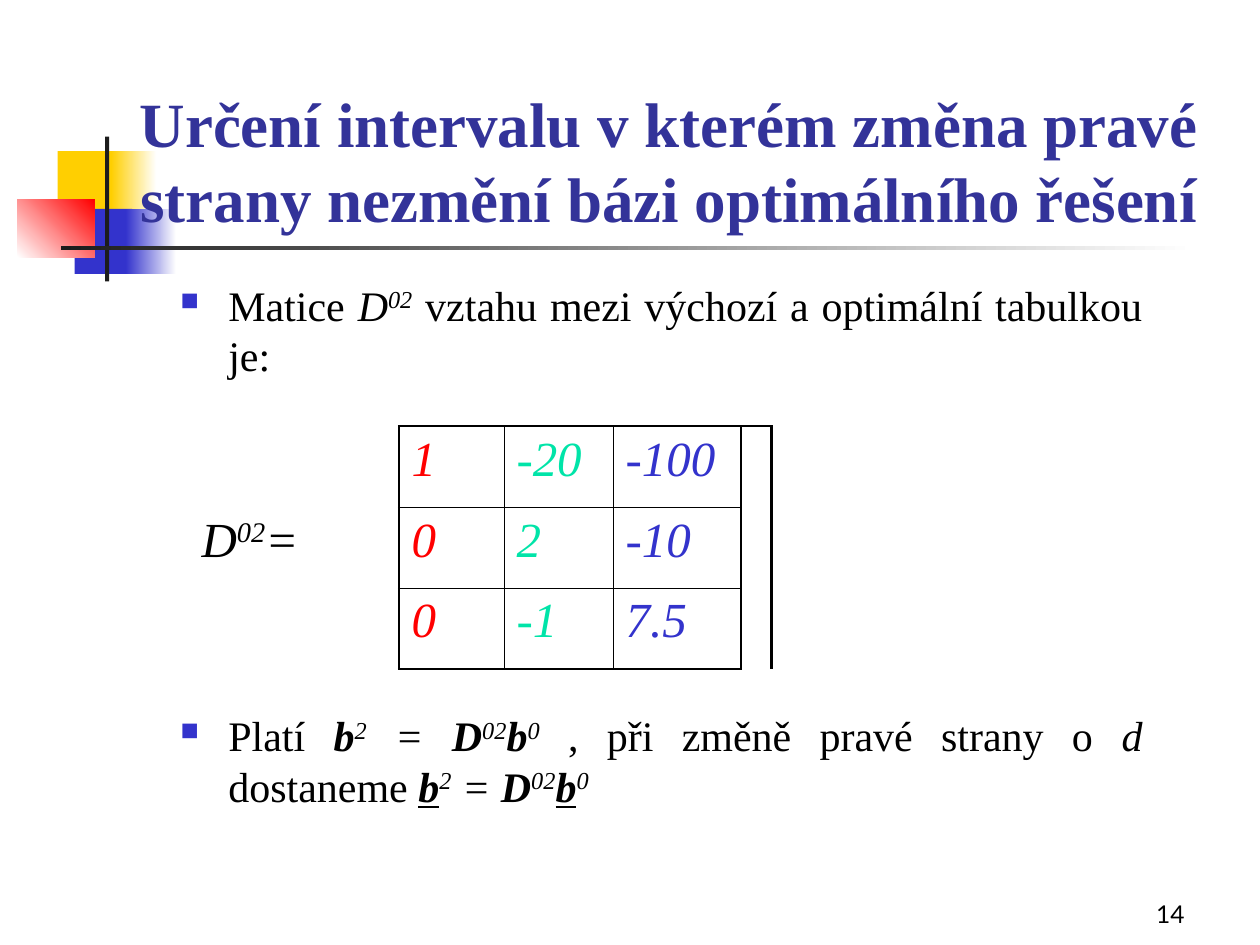
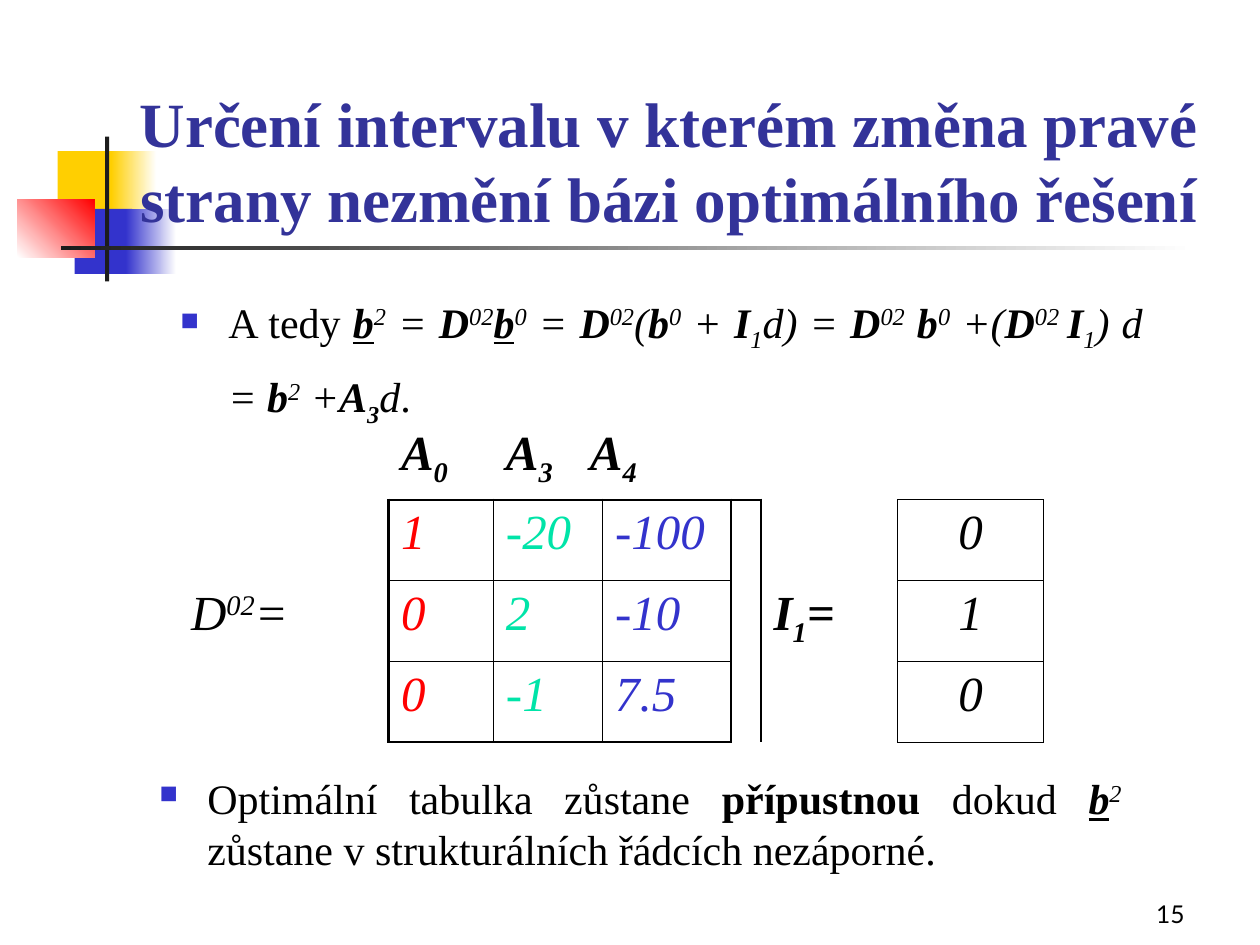
"""Build two slides on right-hand-side intervals of a linear programme."""
from lxml.etree import SubElement
from pptx import Presentation
from pptx.dml.color import RGBColor
from pptx.enum.shapes import MSO_SHAPE as Shape
from pptx.enum.text import MSO_ANCHOR as Anchor, PP_ALIGN as Align
from pptx.oxml.ns import qn
from pptx.util import Inches, Pt

YELLOW = RGBColor(0xFF, 0xCF, 0x01)
BLUE = RGBColor(0x33, 0x33, 0xCC)
NAVY = RGBColor(0x33, 0x33, 0x99)
RED = RGBColor(0xFF, 0x00, 0x00)
GREEN = RGBColor(0x00, 0xE4, 0xA8)
DARK = RGBColor(0x1C, 0x1C, 0x1C)
BLACK = RGBColor(0x00, 0x00, 0x00)
WHITE = RGBColor(0xFF, 0xFF, 0xFF)

SERIF = "Times New Roman"
TITLE = "Určení intervalu v kterém změna pravé strany nezmění bázi optimálního řešení"
NO_GRID_STYLE = "{2D5ABB26-0587-4C30-8999-92F81FD0307C}"
THICK, THIN = Pt(1.47), Pt(0.45)

deck = Presentation()
deck.slide_width, deck.slide_height = Inches(10), Inches(7.5)
GRID_COLUMNS = 120
UNIT = deck.slide_width / GRID_COLUMNS


def grid(*lengths):
    """Turn grid steps into slide lengths."""
    return [round(length * UNIT) for length in lengths]


def write(frame, spans, size=24, color=BLACK, font=SERIF, align=Align.LEFT,
          bullet=False, line_spacing=None):
    """Write (text, marks) spans; marks are b, i, u, ^ (raised) and _ (lowered)."""
    para = frame.paragraphs[0]
    para.alignment = align
    if line_spacing:
        para.line_spacing = line_spacing
    if bullet:
        properties = para._p.get_or_add_pPr()
        indent = Inches(0.38)
        properties.set("marL", str(indent))
        properties.set("indent", str(-indent))
        holder = SubElement(properties, qn("a:buClr"))
        SubElement(holder, qn("a:srgbClr"), val=str(BLUE))
        SubElement(properties, qn("a:buSzPct"), val="60000")
        SubElement(properties, qn("a:buChar"), char="■")
    for text, marks in spans:
        span = para.add_run()
        span.text = text
        span.font.name, span.font.size = font, Pt(size)
        span.font.color.rgb = color
        span.font.bold, span.font.italic = "b" in marks, "i" in marks
        span.font.underline = "u" in marks
        if "^" in marks or "_" in marks:
            baseline = "30000" if "^" in marks else "-25000"
            span._r.get_or_add_rPr().set("baseline", baseline)


DECORATIONS = [
    ((5.5, 14.4, 5.8, 6.2), [YELLOW], 0),
    ((10.6, 14.4, 4.3, 6.2), [YELLOW, WHITE], 0),
    ((7.1, 19.9, 5.5, 6.2), [BLUE], 0),
    ((12, 19.9, 4.8, 6.2), [BLUE, WHITE], 0),
    ((1.65, 19, 7.35, 5.5), [WHITE, RED], 45),
    ((10, 13, 0.4, 13.8), [DARK], 0),
    ((5.8, 23.4, 108, 0.4), [DARK, WHITE], 0),
]

EQUALS = [(" = ", "i")]
D02 = [("D", "bi"), ("02", "i^")]
B0 = [("b", "bi"), ("0", "i^")]
B2 = [("b", "bi"), ("2", "i^")]
NEW_B0 = [("b", "biu"), ("0", "i^")]
NEW_B2 = [("b", "biu"), ("2", "i^")]
I1 = [("I", "bi"), ("1", "i_")]

matrix_intro = [("Matice ", ""), ("D", "i"), ("02", "i^"),
                (" vztahu mezi výchozí a optimální tabulkou je:", "")]
changed_side = [("Platí ", ""), *B2, *EQUALS, *D02, *B0,
                (" , při změně pravé strany o ", ""), ("d", "i"),
                (" dostaneme ", ""), *NEW_B2, *EQUALS, *D02, *NEW_B0]
derivation = [("A tedy ", ""), *NEW_B2, *EQUALS, *D02, *NEW_B0, *EQUALS, *D02,
              ("(", "i"), *B0, (" + ", "i"), *I1, ("d) = ", "i"), *D02,
              (" ", "bi"), *B0, (" +(", "i"), ("D", "bi"), ("02 ", "i^"), *I1,
              (") d = ", "i"), *B2, (" +", "i"), ("A", "bi"), ("3", "bi_"),
              ("d", "i"), (".", "")]
feasibility = [("Optimální tabulka zůstane ", ""), ("přípustnou", "b"),
               (" dokud ", ""), ("b", "biu"), ("2 ", "i^"),
               ("zůstane v strukturálních řádcích nezáporné.", "")]

COLUMN_STEPS = [13, 7, 10, 8, 2.4, 5.6, 6.6, 2.9, 13, 13.9]
ROW_STEPS = [7.6, 7.7, 7.7, 7.7]
MERGES = [(0, 4), (0, 6)] + [(row, column) for row in (1, 2, 3) for column in (3, 5)]
MATRIX = [["1", "-20", "-100"], ["0", "2", "-10"], ["0", "-1", "7.5"]]
MATRIX_COLUMNS = [(2, RED), (3, GREEN), (5, BLUE)]
VERTICALS = {2: THICK, 3: THIN, 5: THIN, 7: THICK}
HORIZONTALS = {1: THICK, 2: THIN, 3: THIN, 4: THICK}

matrix_cells = {(2, 0): ([("D", "i"), ("02", "i^"), ("=", "i")], BLACK, Align.LEFT)}
for row, values in enumerate(MATRIX, start=1):
    for value, (column, color) in zip(values, MATRIX_COLUMNS):
        matrix_cells[row, column] = ([(value, "i")], color, Align.LEFT)

vector_cells = {(2, 8): ([("I", "bi"), ("1", "bi_"), ("=", "bi")], BLACK, Align.LEFT)}
for column, index in zip((2, 3, 4), "034"):
    vector_cells[0, column] = ([("A", "bi"), (index, "bi_")], BLACK, Align.LEFT)
for row, value in enumerate("010", start=1):
    vector_cells[row, 9] = ([(value, "i")], BLACK, Align.CENTER)

SLIDES = [
    ("14", matrix_intro, (16, 26, 94, 13), None, (18, 33),
     matrix_cells, False, changed_side, (16, 67, 94, 13)),
    ("15", derivation, (16, 26, 94, 16), 1.3, (17, 40),
     matrix_cells | vector_cells, True, feasibility, (14, 73, 94, 12)),
]

for (number, lead, lead_place, lead_spacing, table_corner,
     cells, has_vector, closing, closing_place) in SLIDES:
    page = deck.slides.add_slide(deck.slide_layouts[6])

    for place, colors, angle in DECORATIONS:
        block = page.shapes.add_shape(Shape.RECTANGLE, *grid(*place))
        block.shadow.inherit = False
        block.line.fill.background()
        if len(colors) == 1:
            block.fill.solid()
            block.fill.fore_color.rgb = colors[0]
        else:
            block.fill.gradient()
            block.fill.gradient_angle = angle
            for stop, color in zip(block.fill.gradient_stops, colors):
                stop.color.rgb = color

    bulleted = dict(align=Align.JUSTIFY, bullet=True)
    texts = [
        ((89, 83, 25, 6), Anchor.BOTTOM, [(number, "")],
         dict(size=14, font="Lato", align=Align.RIGHT)),
        ((10, 8, 107.4, 15), Anchor.BOTTOM, [(TITLE, "b")],
         dict(size=36, color=NAVY, align=Align.CENTER)),
        (lead_place, Anchor.TOP, lead, dict(line_spacing=lead_spacing, **bulleted)),
        (closing_place, Anchor.TOP, closing, bulleted),
    ]
    for place, anchor, spans, text_format in texts:
        box = page.shapes.add_textbox(*grid(*place))
        box.text_frame.word_wrap = True
        box.text_frame.vertical_anchor = anchor
        write(box.text_frame, spans, **text_format)

    table_size = sum(COLUMN_STEPS), sum(ROW_STEPS)
    table = page.shapes.add_table(len(ROW_STEPS), len(COLUMN_STEPS),
                                  *grid(*table_corner, *table_size)).table
    table.first_row = table.horz_banding = False
    table._tbl.tblPr.find(qn("a:tableStyleId")).text = NO_GRID_STYLE
    for column, width in zip(table.columns, grid(*COLUMN_STEPS)):
        column.width = width
    for row, height in zip(table.rows, grid(*ROW_STEPS)):
        row.height = height
    for row, column in MERGES:
        table.cell(row, column).merge(table.cell(row, column + 1))

    verticals = VERTICALS | ({9: THIN, 10: THIN} if has_vector else {})
    for row in range(len(ROW_STEPS)):
        for column in range(len(COLUMN_STEPS)):
            cell = table.cell(row, column)
            if 2 <= column <= 6:
                horizontals = HORIZONTALS
            elif column == 7:
                horizontals = {1: THICK} if row == 0 else {}
            elif column == 9 and has_vector:
                horizontals = dict.fromkeys(HORIZONTALS, THIN)
            else:
                horizontals = {}
            end = column + (cell.span_width if cell.is_merge_origin else 1)
            borders = {
                "a:lnL": verticals.get(column) if row else None,
                "a:lnR": verticals.get(end) if row else None,
                "a:lnT": horizontals.get(row),
                "a:lnB": horizontals.get(row + 1),
            }
            properties = cell._tc.get_or_add_tcPr()
            for side, width in borders.items():
                if width:
                    line = SubElement(properties, qn(side), w=str(width))
                    paint = SubElement(line, qn("a:solidFill"))
                    SubElement(paint, qn("a:srgbClr"), val=str(BLACK))
            cell.fill.background()
            if (row, column) in cells:
                spans, color, align = cells[row, column]
                write(cell.text_frame, spans, size=28, color=color, align=align)

deck.save("out.pptx")
